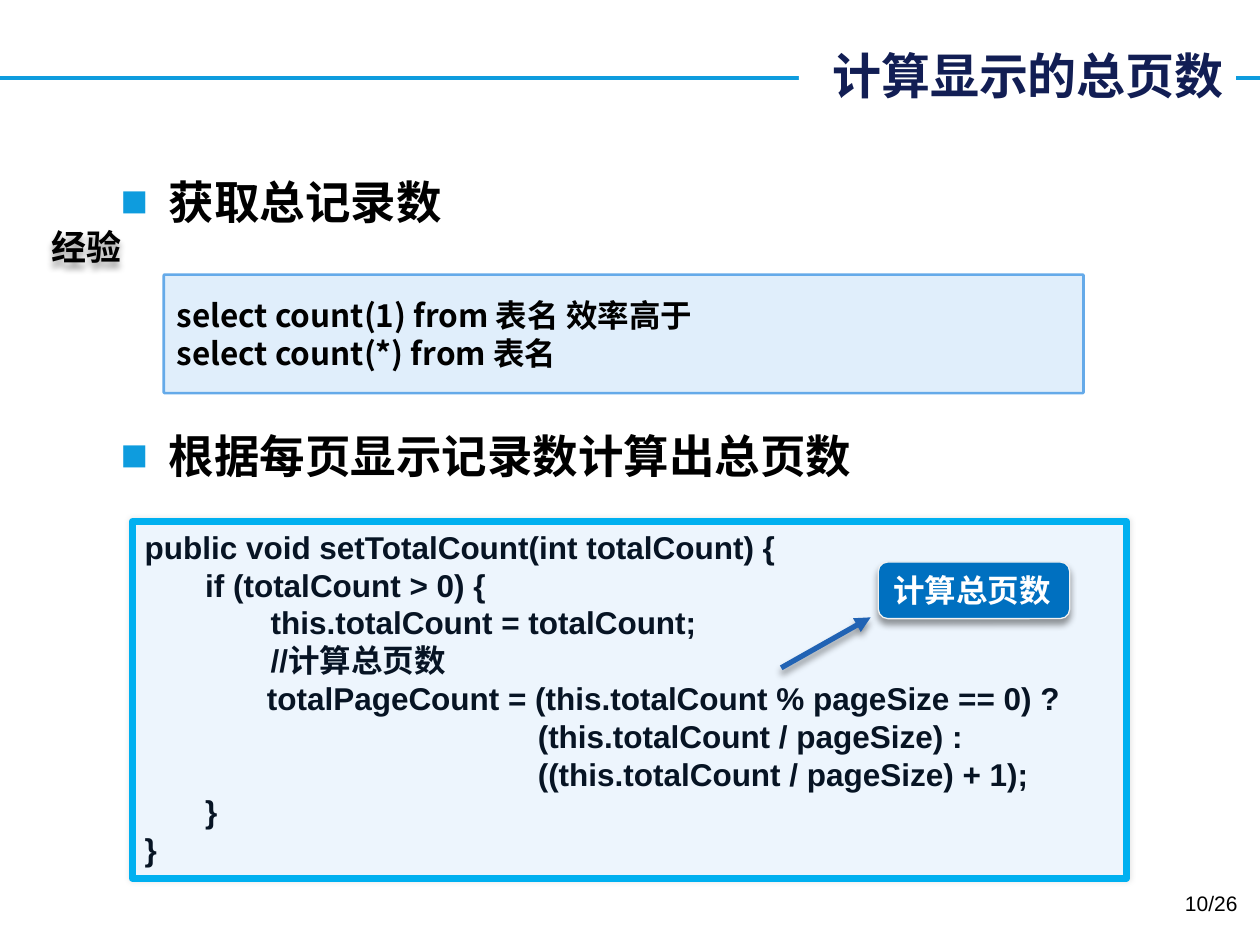
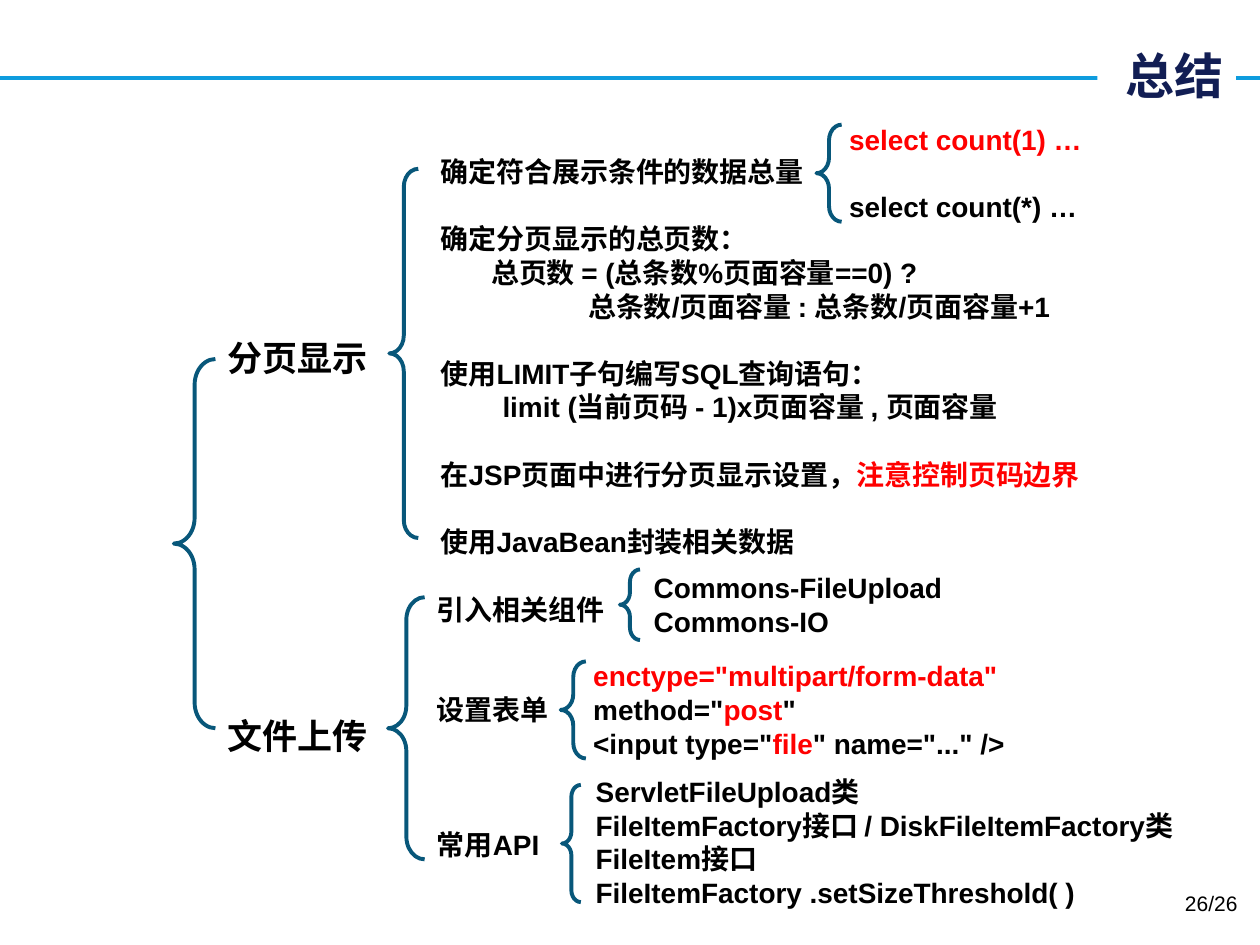
from lxml.etree import SubElement
from pptx import Presentation
from pptx.dml.color import RGBColor
from pptx.enum.shapes import MSO_CONNECTOR as Connector, MSO_SHAPE as Shape
from pptx.enum.text import MSO_ANCHOR as Anchor, PP_ALIGN as Align
from pptx.oxml.ns import qn
from pptx.util import Inches, Pt

COLORS = {
    "white": "FFFFFF", "black": "000000", "red": "FF0000",
    "rule": "0E9CDE", "title": "121E54", "brace": "08577A",
    "code_fill": "EDF5FD", "code_line": "00B0F0", "code_text": "071424",
    "tip_fill": "E0EEFB", "tip_line": "65AAE9",
    "callout": "0070C0", "callout_line": "F2F2F2", "arrow": "2163B4",
}
LATIN = "Arial"
CHINESE = "Noto Sans CJK SC"
LINE_HEIGHT = 1.2
SLIDE_WIDTH = 10
RULE_TOP = 0.62
TITLE_RIGHT = 9.81


def color(name):
    return RGBColor.from_string(COLORS[name])


def inches(box):
    return [Inches(length) for length in box]


def add_shadow(shape, alpha, blur, distance, angle):
    properties = shape._element.spPr
    effects = properties.find(qn("a:effectLst"))
    if effects is None:
        effects = SubElement(properties, qn("a:effectLst"))
    outer = SubElement(effects, qn("a:outerShdw"), blurRad=str(Pt(blur)),
                       dist=str(Pt(distance)), dir=str(angle * 60000),
                       algn="ctr", rotWithShape="0")
    black = SubElement(outer, qn("a:srgbClr"), val=COLORS["black"])
    SubElement(black, qn("a:alpha"), val=str(alpha * 1000))


def add_line(slide, start, end, line_color, width):
    line = slide.shapes.add_connector(
        Connector.STRAIGHT, *inches(start), *inches(end))
    line.line.color.rgb = color(line_color)
    line.line.width = Pt(width)
    SubElement(line._element.spPr, qn("a:effectLst"))
    return line


def add_panel(slide, kind, box, fill, line, width, adjustments):
    shape = slide.shapes.add_shape(kind, *inches(box))
    shape.shadow.inherit = False
    for index, value in enumerate(adjustments):
        shape.adjustments[index] = value
    if fill:
        shape.fill.solid()
        shape.fill.fore_color.rgb = color(fill)
    else:
        shape.fill.background()
    shape.line.color.rgb = color(line)
    shape.line.width = Pt(width)
    return shape


def write(shape, lines, size, text_color="black", bold=True, font=LATIN,
          align=Align.LEFT, anchor=Anchor.TOP, wrap=True):
    """Each line is a text or (text, indent, blank lines above); |bars| mark red."""
    frame = shape.text_frame
    frame.word_wrap = wrap
    frame.vertical_anchor = anchor
    for index, line in enumerate(lines):
        text, indent, gap = (line, 0, 0) if isinstance(line, str) else line
        paragraph = frame.paragraphs[0] if index == 0 else frame.add_paragraph()
        paragraph.alignment = align
        paragraph.line_spacing = Pt(size * LINE_HEIGHT)
        paragraph.space_before = Pt(size * LINE_HEIGHT * gap)
        paragraph.font.size = Pt(size)
        paragraph.font.bold = bold
        paragraph.font.name = font
        paragraph.font.color.rgb = color(text_color)
        properties = paragraph._p.get_or_add_pPr()
        properties.set("marL", str(Inches(indent)))
        SubElement(properties.find(qn("a:defRPr")), qn("a:ea"), typeface=CHINESE)
        for part, piece in enumerate(text.split("|")):
            if piece:
                run = paragraph.add_run()
                run.text = piece
                if part % 2:
                    run.font.color.rgb = color("red")


def add_text(slide, box, lines, size, **style):
    shape = slide.shapes.add_textbox(*inches(box))
    write(shape, lines, size, **style)
    return shape


def add_frame(presentation, title, title_width, number):
    slide = presentation.slides.add_slide(presentation.slide_layouts[6])
    add_line(slide, (0, RULE_TOP), (SLIDE_WIDTH, RULE_TOP), "rule", 2.25)
    heading = add_text(slide, (TITLE_RIGHT - title_width, 0.31, title_width, 0.57),
                       [title], 28, text_color="title", font=CHINESE,
                       align=Align.RIGHT, anchor=Anchor.MIDDLE)
    heading.fill.solid()
    heading.fill.fore_color.rgb = color("white")
    add_text(slide, (7.59, 7.02, 2.33, 0.4), [f"{number}/26"], 12,
             bold=False, align=Align.RIGHT)
    return slide


def add_bullets(slide, box, lines):
    shape = add_text(slide, box, lines, 26)
    for paragraph in shape.text_frame.paragraphs:
        properties = paragraph._p.pPr
        properties.set("marL", str(Inches(0.38)))
        properties.set("indent", str(Inches(-0.38)))
        default = properties.find(qn("a:defRPr"))
        bullet_color = SubElement(properties, qn("a:buClr"))
        SubElement(bullet_color, qn("a:srgbClr"), val=COLORS["rule"])
        SubElement(properties, qn("a:buFont"), typeface=LATIN)
        SubElement(properties, qn("a:buChar"), char="■")
        properties.append(default)


def add_code(slide, box, lines):
    left, top, width, height = box
    panel = add_panel(slide, Shape.ROUNDED_RECTANGLE, box,
                      "code_fill", "code_line", 4, [0])
    add_shadow(panel, 10, 3, 0, 0)
    write(panel, lines, 18, text_color="code_text")

    arrow = add_line(slide, (left + 5.15, top + 1.16),
                     (left + 5.86, top + 0.76), "arrow", 3)
    SubElement(arrow.line._get_or_add_ln(), qn("a:tailEnd"), type="triangle")
    add_shadow(arrow, 40, 4, 3, 90)

    callout = add_panel(slide, Shape.ROUNDED_RECTANGULAR_CALLOUT,
                        (left + 5.92, top + 0.32, 1.52, 0.45), "callout",
                        "callout_line", 0.75, [-0.5, 0.21, 0.17])
    add_shadow(callout, 40, 4, 3, 90)
    write(callout, ["计算总页数"], 18, text_color="white",
          anchor=Anchor.MIDDLE, wrap=False)


def add_tip(slide, box, label, lines):
    left, top, width, height = box
    panel = add_panel(slide, Shape.ROUNDED_RECTANGLE, box,
                      "tip_fill", "tip_line", 1.5, [0.01])
    write(panel, lines, 18, font=CHINESE, anchor=Anchor.MIDDLE)
    tag = add_text(slide, (left - 0.99, top - 0.44, 0.77, 0.44), [label], 20,
                   font=CHINESE, anchor=Anchor.MIDDLE, wrap=False)
    tag.shadow.inherit = False
    add_shadow(tag, 40, 4, 3, 90)


def add_branch(slide, brace_box, text_box, lines, size=16):
    add_panel(slide, Shape.LEFT_BRACE, brace_box, None, "brace", 2.25, [0.62, 0.5])
    add_text(slide, text_box, lines, size)


def build_page_count(presentation):
    slide = add_frame(presentation, "计算显示的总页数", 3.47, 10)
    add_bullets(slide, (0.86, 1.33, 8.36, 5.62), [
        "获取总记录数",
        ("根据每页显示记录数计算出总页数", 0, 3.65),
    ])
    add_code(slide, (1.05, 4.14, 7.89, 2.83), [
        "public void setTotalCount(int totalCount) {",
        ("if (totalCount > 0) {", 0.48, 0),
        ("this.totalCount = totalCount;", 1, 0),
        ("//计算总页数", 1, 0),
        ("totalPageCount = (this.totalCount % pageSize == 0) ?", 0.97, 0),
        ("(this.totalCount / pageSize) :", 3.12, 0),
        ("((this.totalCount / pageSize) + 1);", 3.12, 0),
        ("}", 0.48, 0),
        "}",
    ])
    add_tip(slide, (1.3, 2.18, 7.3, 0.94), "经验", [
        "select count(1) from 表名 效率高于",
        "select count(*) from 表名",
    ])


def build_summary(presentation):
    slide = add_frame(presentation, "总结", 1.1, 26)
    add_branch(slide, (1.38, 2.85, 0.33, 2.93), (1.71, 2.62, 5.48, 3.47),
               ["分页显示", ("文件上传", 0, 8)], size=20)
    add_branch(slide, (3.09, 1.34, 0.23, 2.93), (3.4, 1.18, 5.46, 3.33), [
        "确定符合展示条件的数据总量",
        ("确定分页显示的总页数：", 0, 1),
        ("总页数 = (总条数%页面容量==0) ?", 0.4, 0),
        ("总条数/页面容量 : 总条数/页面容量+1", 1.17, 0),
        ("使用LIMIT子句编写SQL查询语句：", 0, 1),
        ("limit (当前页码 - 1)x页面容量 , 页面容量", 0.49, 0),
        ("在JSP页面中进行分页显示设置，|注意控制页码边界|", 0, 1),
        ("使用JavaBean封装相关数据", 0, 1),
    ])
    add_branch(slide, (6.48, 0.99, 0.2, 0.77), (6.64, 0.92, 2.22, 0.91),
               ["|select count(1) …|", ("select count(*) …", 0, 1)])
    add_branch(slide, (3.08, 4.74, 0.29, 2.08), (3.37, 4.65, 5.46, 2.52),
               ["引入相关组件", ("设置表单", 0, 2), ("常用API", 0, 3)])
    add_branch(slide, (4.92, 4.52, 0.16, 0.56), (5.09, 4.48, 3.17, 0.64),
               ["Commons-FileUpload", "Commons-IO"])
    add_branch(slide, (4.45, 5.25, 0.2, 0.77), (4.61, 5.18, 3.78, 0.91), [
        '|enctype="multipart/form-data" |method="|post|"',
        '<input type="|file|" name="..." />',
    ])
    add_branch(slide, (4.46, 6.23, 0.15, 0.93), (4.63, 6.1, 4.86, 1.18), [
        "ServletFileUpload类",
        "FileItemFactory接口 / DiskFileItemFactory类",
        "FileItem接口",
        "FileItemFactory .setSizeThreshold( )",
    ])


presentation = Presentation()
presentation.slide_width = Inches(SLIDE_WIDTH)
presentation.slide_height = Inches(7.5)
build_page_count(presentation)
build_summary(presentation)
presentation.save("out.pptx")
